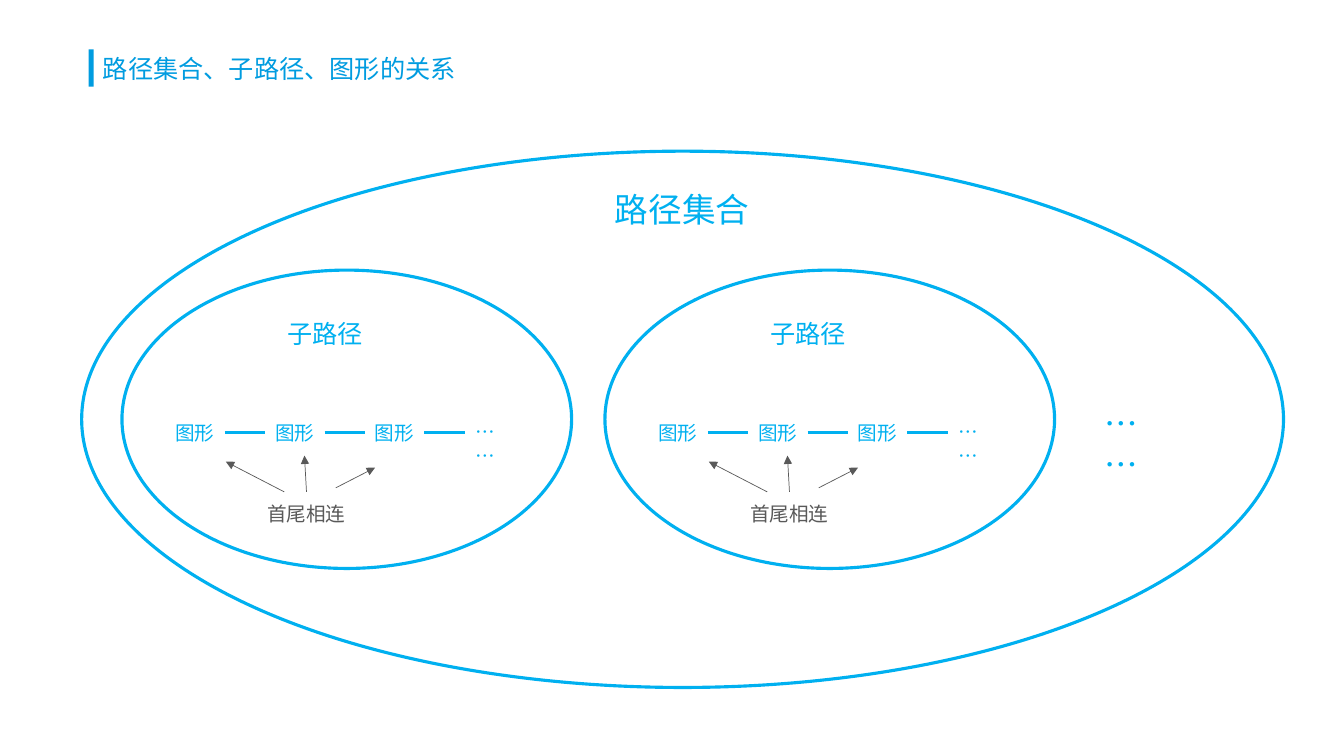
"""Build a slide relating a path collection, its subpaths and their figures."""
from typing import NamedTuple

from lxml import etree
from pptx import Presentation
from pptx.dml.color import RGBColor
from pptx.enum.shapes import MSO_CONNECTOR, MSO_SHAPE
from pptx.enum.text import MSO_ANCHOR, PP_ALIGN
from pptx.oxml.ns import qn
from pptx.util import Inches, Pt

LEFT = PP_ALIGN.LEFT
MIDDLE, TOP = MSO_ANCHOR.MIDDLE, MSO_ANCHOR.TOP
STRAIGHT = MSO_CONNECTOR.STRAIGHT
OVAL, RECTANGLE = MSO_SHAPE.OVAL, MSO_SHAPE.RECTANGLE
TITLE_BLUE = RGBColor(0x00, 0x9C, 0xE0)
BLUE = RGBColor(0x00, 0xB0, 0xF0)
GREY = RGBColor(0x59, 0x59, 0x59)
CJK_FONT = "Noto Sans CJK SC"
ELLIPSIS = "……"
FIGURE_COUNT = 3
FIGURE_STEP = 0.99
FIGURE_WIDTH = 0.59
LINK_Y = 4.29
SUBPATH_LEFTS = (1.21, 6.0)


class Label(NamedTuple):
    """A text with its frame in inches, size in points and colour."""

    text: str
    left: float
    top: float
    width: float
    height: float
    size: int
    color: RGBColor = BLUE


class Line(NamedTuple):
    """A straight line from start to end, in inches."""

    start_x: float
    start_y: float
    end_x: float
    end_y: float


COLLECTION_LABELS = (
    Label("路径集合", 6.0, 1.82, 1.55, 0.5, 24),
    Label(ELLIPSIS, 10.86, 3.95, 0.75, 0.5, 24),
)
SUBPATH_LABELS = (
    Label("子路径", 1.54, 3.11, 0.96, 0.4, 18),
    Label(ELLIPSIS, 3.41, 4.12, 0.52, 0.34, 14),
    Label("首尾相连", 1.34, 4.93, 0.99, 0.34, 14, GREY),
)
ARROWS = (
    Line(1.61, 4.88, 1.03, 4.58),
    Line(1.83, 4.88, 1.81, 4.52),
    Line(2.12, 4.84, 2.51, 4.64),
)


def style_paragraph(para, size: int, color: RGBColor, latin: str) -> None:
    """Set the fonts, size and colour of a left-aligned paragraph."""
    para.alignment = LEFT
    para.font.size = Pt(size)
    para.font.color.rgb = color
    para.font.name = latin
    properties = para._p.pPr.find(qn("a:defRPr"))
    etree.SubElement(properties, qn("a:ea"), typeface=CJK_FONT)


def add_label(shapes, label: Label, offset: float = 0) -> None:
    """Add a text box; an ellipsis wraps onto two tight lines."""
    box = shapes.add_textbox(Inches(offset + label.left), Inches(label.top),
                             Inches(label.width), Inches(label.height))
    frame = box.text_frame
    wraps = label.text == ELLIPSIS
    frame.word_wrap = wraps
    frame.vertical_anchor = TOP if wraps else MIDDLE
    para = frame.paragraphs[0]
    para.text = label.text
    if wraps:
        para.line_spacing = Pt(1.2 * label.size)
    style_paragraph(para, label.size, label.color, CJK_FONT)


def add_oval(shapes, left: float, top: float, width: float, height: float) -> None:
    """Add an unfilled blue ellipse."""
    oval = shapes.add_shape(OVAL, Inches(left), Inches(top), Inches(width), Inches(height))
    oval.shadow.inherit = False
    oval.fill.background()
    oval.line.color.rgb = BLUE
    oval.line.width = Pt(2.25)


def add_line(shapes, line: Line, offset: float, color: RGBColor, weight: float,
             arrow: bool = False) -> None:
    """Add a straight connector, with an arrowhead at its end if asked."""
    connector = shapes.add_connector(
        STRAIGHT, Inches(offset + line.start_x), Inches(line.start_y),
        Inches(offset + line.end_x), Inches(line.end_y))
    connector.line.color.rgb = color
    connector.line.width = Pt(weight)
    properties = connector._element.spPr
    if arrow:
        etree.SubElement(properties.find(qn("a:ln")), qn("a:tailEnd"), type="triangle")
    etree.SubElement(properties, qn("a:effectLst"))


def add_subpath(page, left: float) -> None:
    """Add a grouped subpath: its ellipse, linked figures and arrows."""
    shapes = page.shapes.add_group_shape().shapes
    add_oval(shapes, left, 2.68, 4.46, 2.96)
    for index in range(FIGURE_COUNT):
        figure_left = 0.43 + index * FIGURE_STEP
        add_label(shapes, Label("图形", figure_left, 4.12, FIGURE_WIDTH, 0.34, 14), left)
        link = Line(figure_left + FIGURE_WIDTH, LINK_Y, figure_left + FIGURE_STEP, LINK_Y)
        add_line(shapes, link, left, BLUE, 2.25)
    for label in SUBPATH_LABELS:
        add_label(shapes, label, left)
    for arrow in ARROWS:
        add_line(shapes, arrow, left, GREY, 0.5, arrow=True)


def add_title(page) -> None:
    """Format the title and add the accent bar beside it."""
    bar = page.shapes.add_shape(RECTANGLE, Inches(0.88), Inches(0.49),
                                Inches(0.05), Inches(0.37))
    bar.shadow.inherit = False
    bar.fill.solid()
    bar.fill.fore_color.rgb = TITLE_BLUE
    bar.line.fill.background()
    title = page.shapes.title
    title.left, title.top = Inches(0.92), Inches(0.4)
    title.width, title.height = Inches(11.5), Inches(0.59)
    title.text_frame.vertical_anchor = MIDDLE
    para = title.text_frame.paragraphs[0]
    para.text = "路径集合、子路径、图形的关系"
    para.line_spacing = 0.9
    style_paragraph(para, 18, TITLE_BLUE, "Arial")


def main() -> None:
    """Build and save the deck."""
    deck = Presentation()
    deck.slide_width, deck.slide_height = Inches(13.33), Inches(7.5)
    page = deck.slides.add_slide(deck.slide_layouts.get_by_name("Title Only"))
    add_title(page)
    add_oval(page.shapes, 0.81, 1.5, 11.92, 5.32)
    for label in COLLECTION_LABELS:
        add_label(page.shapes, label)
    for left in SUBPATH_LEFTS:
        add_subpath(page, left)
    deck.save("out.pptx")


main()
